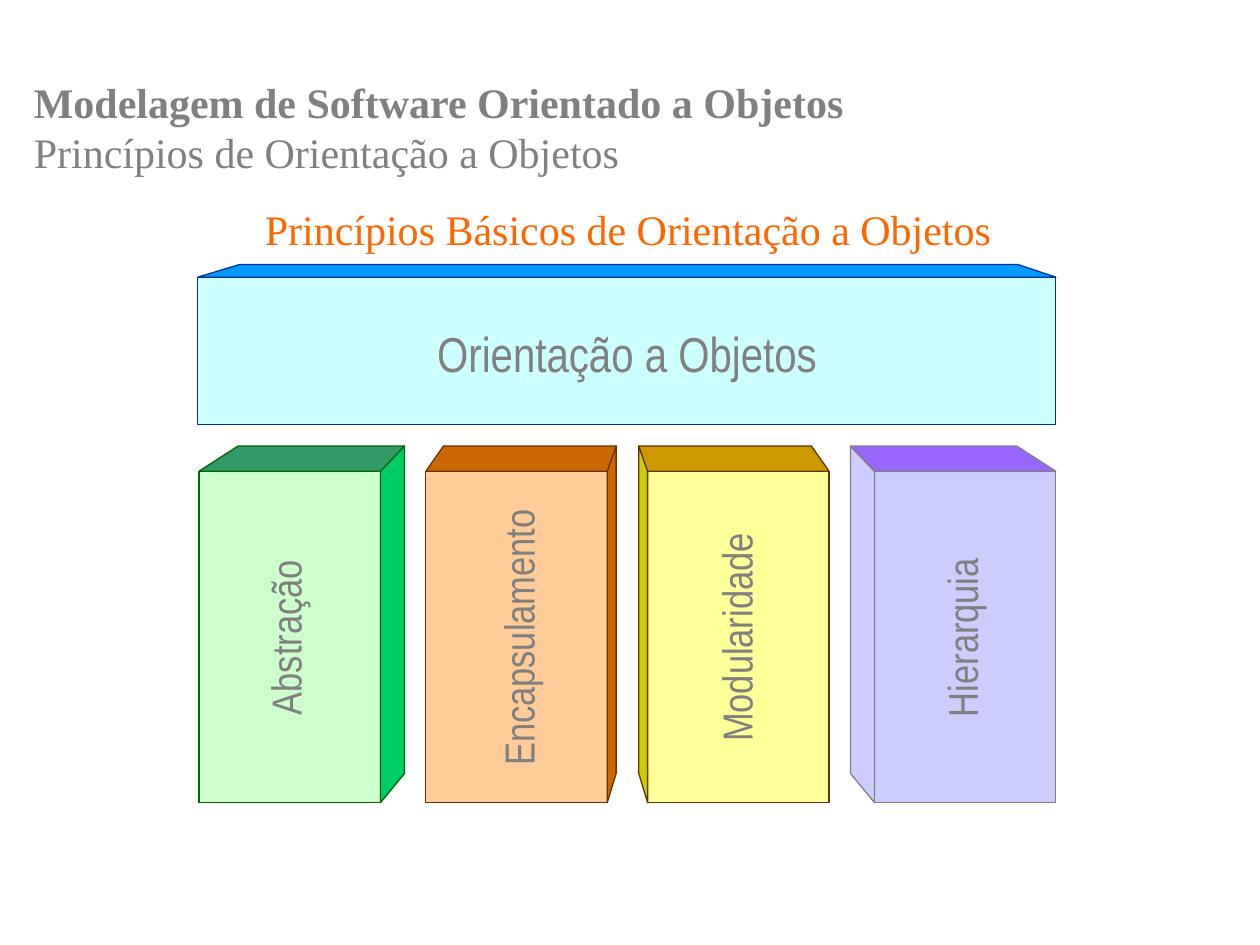
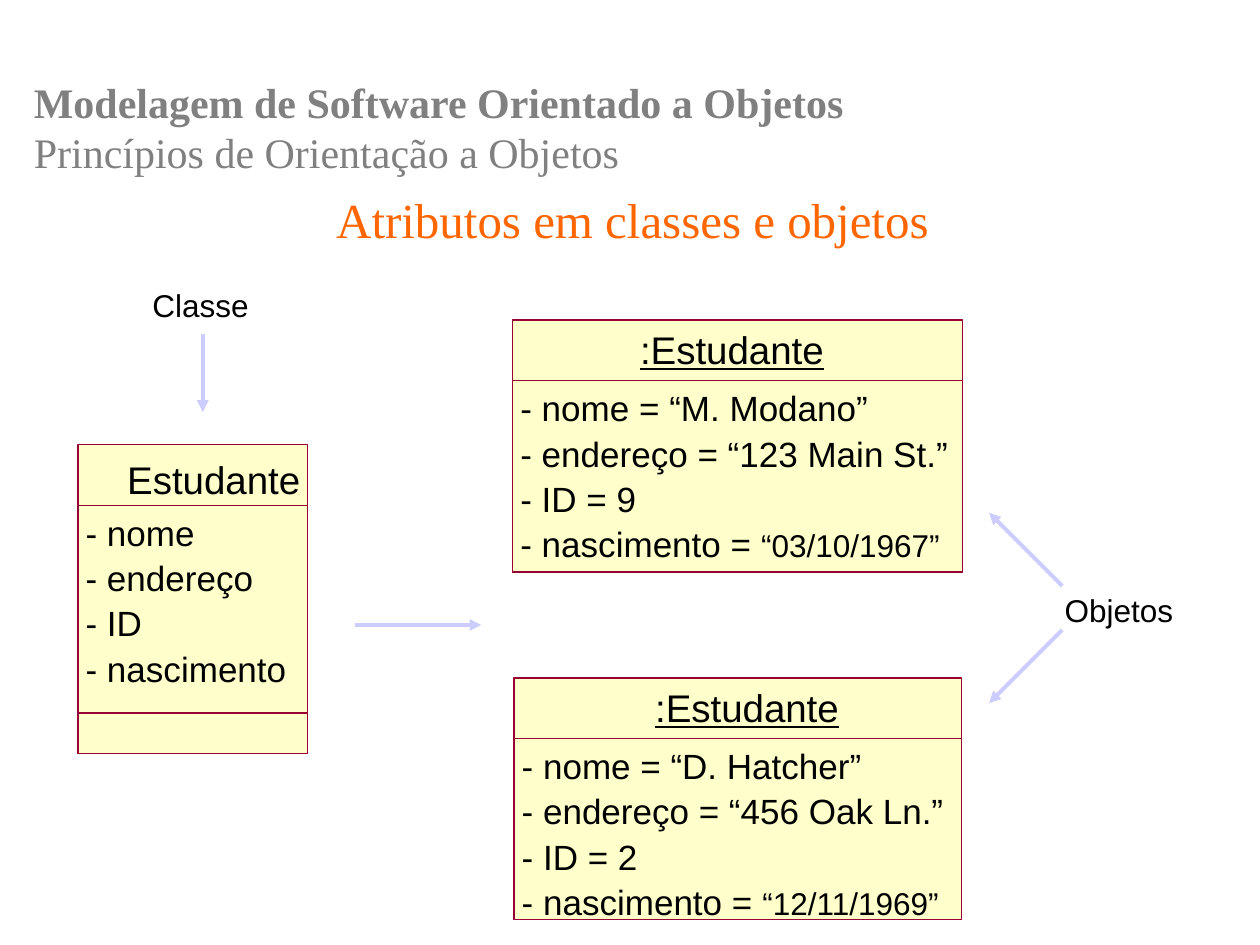
from dataclasses import dataclass
from lxml.etree import SubElement
from pptx import Presentation
from pptx.dml.color import RGBColor
from pptx.enum.shapes import MSO_CONNECTOR, MSO_SHAPE
from pptx.enum.text import MSO_ANCHOR, PP_ALIGN
from pptx.oxml.ns import qn
from pptx.util import Inches, Pt


@dataclass(frozen=True)
class Theme:
    # colours
    gray: str = "808080"
    orange: str = "FF6600"
    black: str = "000000"
    cream: str = "FFFFCC"
    wine: str = "990033"
    lilac: str = "CCCCFF"
    # fonts
    serif: str = "Times New Roman"
    sans: str = "Arial"
    narrow: str = "Arial Narrow"
    # type sizes
    big: int = 28
    head: int = 24
    name: int = 22
    row: int = 20
    small: int = 18


T = Theme()
SLIM, WIDE = (0.1, 0.05), (0.12, 0.06)


def write(shapes, box, paras, size, face=T.sans, color=T.black, bold=False,
          under=False, align=PP_ALIGN.LEFT, anchor=MSO_ANCHOR.TOP,
          inset=(0, 0), gap=0, turn=0):
    """Each paragraph is a string or a list of (text, size, bold) runs."""
    label = shapes.add_textbox(*map(Inches, box))
    label.rotation = turn
    frame = label.text_frame
    frame.word_wrap = True
    frame.vertical_anchor = anchor
    frame.margin_left = frame.margin_right = Inches(inset[0])
    frame.margin_top = frame.margin_bottom = Inches(inset[1])
    for i, runs in enumerate(paras):
        para = frame.add_paragraph() if i else frame.paragraphs[0]
        para.alignment = align
        if i:
            para.space_before = Pt(gap)
        if isinstance(runs, str):
            runs = [(runs, size, bold)]
        for words, points, heavy in runs:
            if words == "\n":
                para.add_line_break()
                continue
            run = para.add_run()
            run.text = words
            font = run.font
            font.name, font.size = face, Pt(points)
            font.bold, font.underline = heavy, under
            font.color.rgb = RGBColor.from_string(color)


def paint(shape, fill, line, width):
    shape.shadow.inherit = False
    if fill:
        shape.fill.solid()
        shape.fill.fore_color.rgb = RGBColor.from_string(fill)
    else:
        shape.fill.background()
    shape.line.color.rgb = RGBColor.from_string(line)
    shape.line.width = Pt(width)


def block(shapes, box, fill, line, width=0.75):
    shape = shapes.add_shape(MSO_SHAPE.RECTANGLE, *map(Inches, box))
    paint(shape, fill, line, width)


def face(shapes, points, fill, line):
    first, *rest = [(Inches(x), Inches(y)) for x, y in points]
    path = shapes.build_freeform(*first)
    path.add_line_segments(rest, close=True)
    paint(path.convert_to_shape(), fill, line, 0.75)


def arrow(shapes, start, end):
    line = shapes.add_connector(MSO_CONNECTOR.STRAIGHT, *map(Inches, start + end))
    line.line.color.rgb = RGBColor.from_string(T.lilac)
    line.line.width = Pt(2.25)
    SubElement(line.line._get_or_add_ln(), qn("a:tailEnd"), type="triangle")
    SubElement(line._element.spPr, qn("a:effectLst"))


def header(shapes):
    runs = [("Modelagem de Software Orientado a Objetos", T.head, True),
            ("\n", T.head, False),
            ("Princípios de Orientação a Objetos", T.head, False)]
    write(shapes, (0.17, 0.42, 8.33, 1.17), [runs], T.head, T.serif, T.gray,
          anchor=MSO_ANCHOR.MIDDLE, inset=SLIM)


def title(shapes, box, words, size, anchor=MSO_ANCHOR.TOP):
    write(shapes, box, [words], size, T.serif, T.orange,
          align=PP_ALIGN.CENTER, anchor=anchor, inset=SLIM)


def beam(shapes, box, words):
    x, y, w, h = box
    fill, lid, line = "CCFFFF", "0099FF", "003399"
    block(shapes, box, fill, line)
    face(shapes, [(x, y), (x + 0.33, y - 0.1), (x + w - 0.3, y - 0.1), (x + w, y)],
         lid, line)
    write(shapes, (x, y + 0.31, w, 0.59), [words], T.big, T.narrow, T.gray,
          align=PP_ALIGN.CENTER, inset=WIDE)


def pillar(shapes, box, words, fill, lid, flank, line, side, depth, lean, shift):
    """side is 1 when the flank is on the right, -1 when on the left."""
    x, y, w, h = box
    mid, rise = x + w / 2, 0.2

    def turned(points):
        return [(mid + side * (px - w / 2), y + py) for px, py in points]

    block(shapes, box, fill, line)
    face(shapes, turned([(w + depth, -rise), (w, 0), (w, h), (w + depth, h - 0.23)]),
         flank, line)
    face(shapes, turned([(0, 0), (lean, -rise), (w + depth, -rise), (w, 0)]),
         lid, line)
    write(shapes, (mid + shift - 1.31, y + 1.06, 2.62, 0.52), [words], T.head,
          T.narrow, T.gray, align=PP_ALIGN.CENTER, inset=WIDE, turn=270)


def entity(shapes, box, name, rows, indent, drop=0.05, under=True, foot=0):
    x, y, w, h = box
    top = 0.48
    block(shapes, box, T.cream, T.wine, 0)
    block(shapes, (x, y + top, w, h - top), None, T.wine, 0)
    if foot:
        block(shapes, (x, y + h - foot, w, foot), None, T.wine, 0)
    write(shapes, (x + indent, y + drop, w - indent, 0.37), [name], T.name,
          under=under)
    write(shapes, (x + 0.06, y + top + 0.05, w - 0.06, 1.37), rows, T.row, gap=1.85)


def pupil(name, street, code, born):
    """Attribute rows of one object."""
    return [f"- nome = “{name}”", f"- endereço = “{street}”", f"- ID = {code}",
            [("- nascimento = ", T.row, False), (f"“{born}”", T.small, False)]]


def basics(shapes):
    header(shapes)
    title(shapes, (1.59, 1.57, 6.79, 0.5),
          "Princípios Básicos de Orientação a Objetos", T.head)
    beam(shapes.add_group_shape().shapes, (1.57, 2.2, 6.81, 1.17),
         "Orientação a Objetos")
    # left, label, front, lid, flank, line, side, depth, lean, label shift
    pillars = [
        (1.58, "Abstração", "CCFFCC", "339966", "00CC66", "006600", 1, 0.19, 0.31, -0.04),
        (3.38, "Encapsulamento", "FFCC99", "CC6600", "CC6600", "663300", 1, 0.07, 0.14, 0.01),
        (5.14, "Modularidade", "FFFF99", "CC9900", "CCCC00", "663300", -1, 0.07, 0.14, -0.02),
        (6.94, "Hierarquia", T.lilac, "9966FF", T.lilac, T.gray, -1, 0.19, 0.31, -0.03),
    ]
    for left, *look in pillars:
        pillar(shapes.add_group_shape().shapes, (left, 3.74, 1.44, 2.63), *look)


def fields(shapes):
    header(shapes)
    title(shapes, (0.04, 1.15, 9.96, 1.17), "Atributos em classes e objetos",
          T.big, MSO_ANCHOR.MIDDLE)
    # captions and arrows
    for box, words in [((1.09, 2.21, 1.2, 0.42), "Classe"),
                       ((8.33, 4.63, 1.3, 0.42), "Objetos")]:
        write(shapes, box, [words], T.small, inset=WIDE)
    for start, end in [((1.61, 2.65), (1.61, 3.27)), ((2.82, 4.96), (3.82, 4.96)),
                       ((8.43, 4.65), (7.85, 4.07)), ((8.43, 5), (7.85, 5.58))]:
        arrow(shapes, start, end)
    # class
    entity(shapes.add_group_shape().shapes, (0.62, 3.53, 1.82, 2.45), "Estudante",
           ["- nome", "- endereço", "- ID", "- nascimento"], 0.39, 0.09, False, 0.32)
    # objects
    for box, indent, data in [
        ((4.07, 2.54, 3.57, 2), 1.01, ("M. Modano", "123 Main St.", 9, "03/10/1967")),
        ((4.08, 5.38, 3.55, 1.92), 1.12, ("D. Hatcher", "456 Oak Ln.", 2, "12/11/1969")),
    ]:
        entity(shapes.add_group_shape().shapes, box, ":Estudante", pupil(*data), indent)


def main():
    deck = Presentation()
    deck.slide_width, deck.slide_height = Inches(10), Inches(7.5)
    for build in (basics, fields):
        build(deck.slides.add_slide(deck.slide_layouts[6]).shapes)
    deck.save("out.pptx")


if __name__ == "__main__":
    main()
